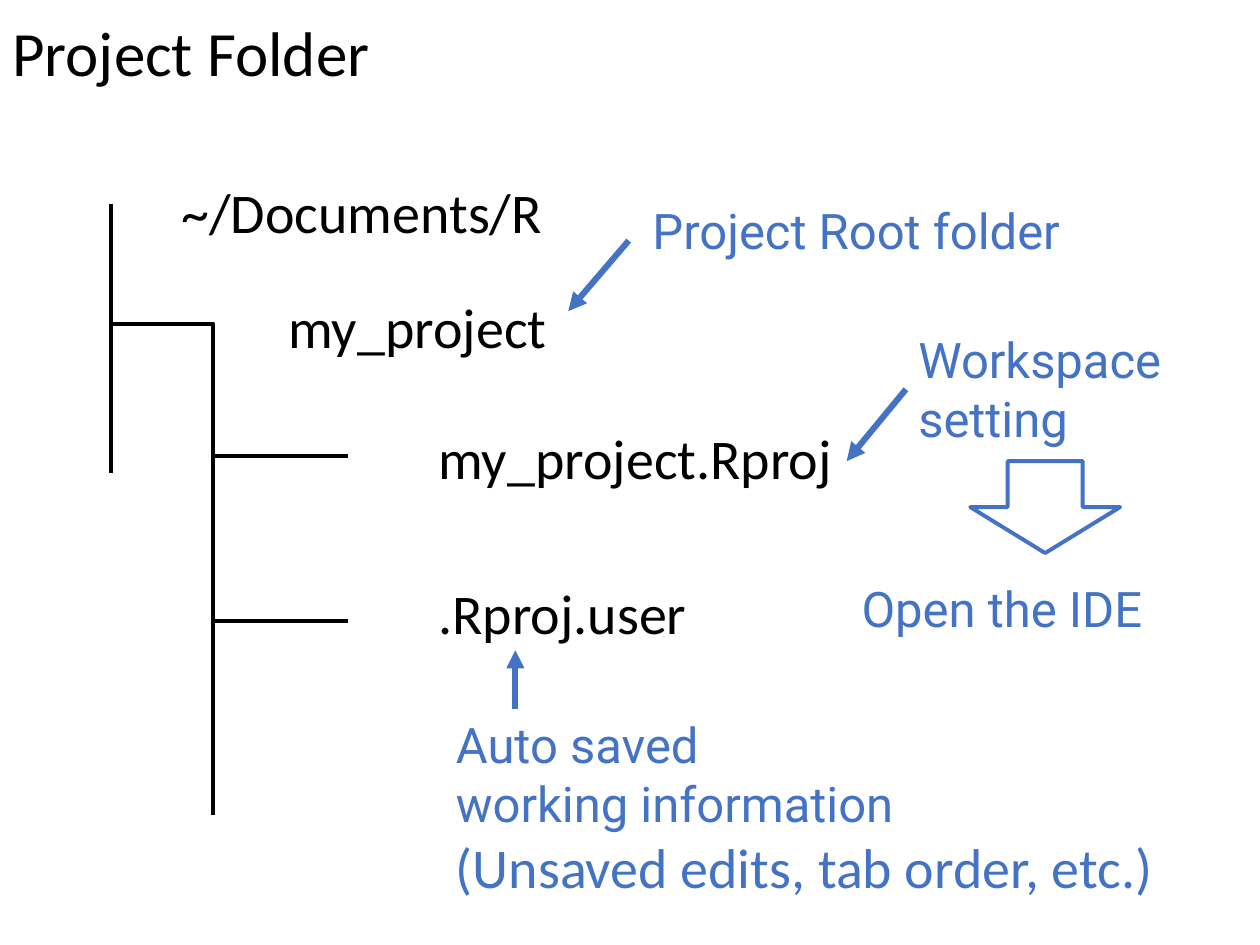
from collections import namedtuple

from pptx import Presentation
from pptx.dml.color import RGBColor
from pptx.enum.shapes import MSO_CONNECTOR, MSO_SHAPE
from pptx.enum.text import MSO_AUTO_SIZE as AutoSize
from pptx.oxml.ns import qn
from pptx.util import Inches, Pt
from lxml.etree import SubElement

BLACK = RGBColor(0x00, 0x00, 0x00)
WHITE = RGBColor(0xFF, 0xFF, 0xFF)
BLUE = RGBColor(0x44, 0x72, 0xC4)

# The slide is a grid of 100 columns by 75 rows
COLUMNS, ROWS = 100, 75
CELL = Inches(10) // COLUMNS

FOLDER = {"name": "Calibri", "size": Pt(32), "color": BLACK}
TITLE = {**FOLDER, "size": Pt(36)}
NOTE = {"name": "Roboto", "size": Pt(28), "color": BLUE}
NOTE_DETAIL = {**FOLDER, "color": BLUE}


class Box(namedtuple("Box", "left top width height")):
    """An area of the grid, in columns and rows."""

    def point(self, column, row):
        return round((self.left + column) * CELL), round((self.top + row) * CELL)

    def area(self, column, row, width, height):
        return *self.point(column, row), round(width * CELL), round(height * CELL)


def add_label(slide, area, lines, wrap=False):
    """Add a text box from (text, format) lines."""
    frame = slide.shapes.add_textbox(*area).text_frame
    frame.word_wrap = wrap
    frame.auto_size = AutoSize.SHAPE_TO_FIT_TEXT
    for number, (text, style) in enumerate(lines):
        paragraph = frame.add_paragraph() if number else frame.paragraphs[0]
        paragraph.text = text
        for run in paragraph.runs:
            for key, value in style.items():
                if key == "color":
                    run.font.color.rgb = value
                else:
                    setattr(run.font, key, value)


def add_line(slide, start, end, color, width, arrow=False):
    line = slide.shapes.add_connector(MSO_CONNECTOR.STRAIGHT, *start, *end)
    line.line.color.rgb = color
    line.line.width = Pt(width)
    if arrow:
        SubElement(line.line._get_or_add_ln(), qn("a:tailEnd"), type="triangle")
    SubElement(line._element.spPr, qn("a:effectLst"))


def add_title(slide, box):
    add_label(slide, box.area(0, 0, box.width, box.height),
              [("Project Folder", TITLE)])


def add_folder_tree(slide, box):
    # Trunk of the parent folder
    add_line(slide, box.point(0, 2.6), box.point(0, 23.9), BLACK, 2.5)

    # Elbow down to the project's own trunk
    project_x, project_y = 8.1, 12.1
    elbow = slide.shapes.build_freeform(*box.point(0, project_y))
    elbow.add_line_segments([box.point(project_x, project_y),
                             box.point(project_x, box.height)], close=False)
    trunk = elbow.convert_to_shape()
    trunk.shadow.inherit = False
    trunk.fill.background()
    trunk.line.color.rgb = BLACK
    trunk.line.width = Pt(2.5)

    # Branches to the files
    for row in (22.6, 35.7):
        add_line(slide, box.point(project_x + 10.7, row),
                 box.point(project_x, row), BLACK, 2.5)

    # Folder and file names
    for text, column, row, width in (
        ("~/Documents/R", 4.6, 0, 31),
        ("my_project", 13.1, 9.1, 22.7),
        ("my_project.Rproj", 25, 19.5, 33.6),
        (".Rproj.user", 25, 31.8, 21.9),
    ):
        add_label(slide, box.area(column, row, width, 6.4), [(text, FOLDER)])


def add_notes(slide, box):
    # One-format notes
    for text, *place in (
        ("Project Root folder", 15.6, 0, 47, 5.7),
        ("Workspace \vsetting", 36.7, 10.3, 25.7, 10.4),
        ("Open the IDE", 32.2, 30, 30.4, 5.7),
    ):
        add_label(slide, box.area(*place), [(text, NOTE)])

    # Note on the user folder
    add_label(slide, box.area(0, 40.8, box.width, 20.5), [
        ("Auto saved", NOTE),
        ("working information", NOTE),
        ("(Unsaved edits, tab order, etc.)", NOTE_DETAIL),
    ], wrap=True)

    # Arrows from the notes to the names
    for start, end in (((14.7, 3.7), (9.9, 9.3)),
                       ((36.7, 15.5), (32, 21.2)),
                       ((5.7, 40.9), (5.7, 36.2))):
        add_line(slide, box.point(*start), box.point(*end), BLUE, 3.5, arrow=True)

    # Block arrow from the setting to its effect
    effect = slide.shapes.add_shape(MSO_SHAPE.DOWN_ARROW,
                                    *box.area(41.8, 21.2, 11.9, 7.3))
    effect.shadow.inherit = False
    effect.fill.solid()
    effect.fill.fore_color.rgb = WHITE
    effect.line.color.rgb = BLUE
    effect.line.width = Pt(2.25)


def main():
    deck = Presentation()
    deck.slide_width, deck.slide_height = COLUMNS * CELL, ROWS * CELL
    slide = deck.slides.add_slide(deck.slide_layouts[6])
    add_title(slide, Box(0, 0.6, 30.6, 7.1))
    add_folder_tree(slide, Box(8.8, 13.6, 58.6, 51.1))
    add_notes(slide, Box(35.2, 15.4, 67, 61.3))
    deck.save("out.pptx")


if __name__ == "__main__":
    main()
